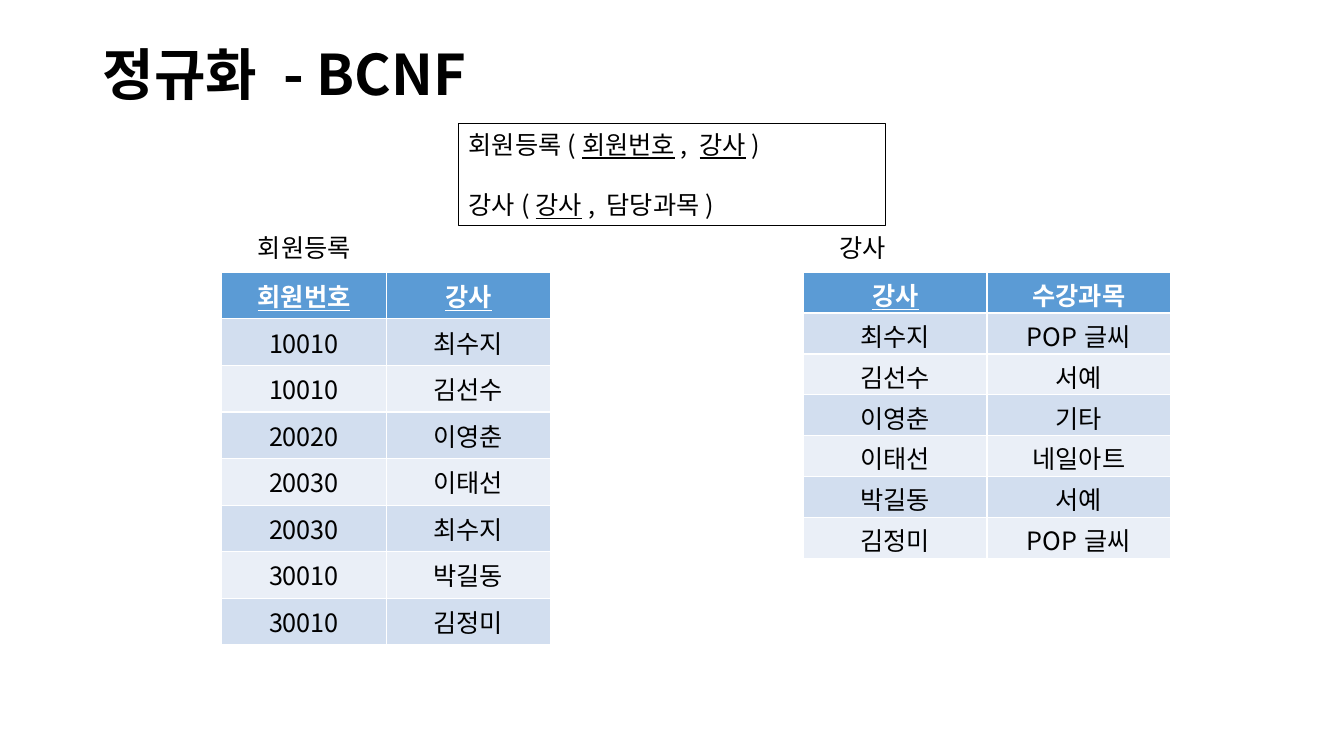
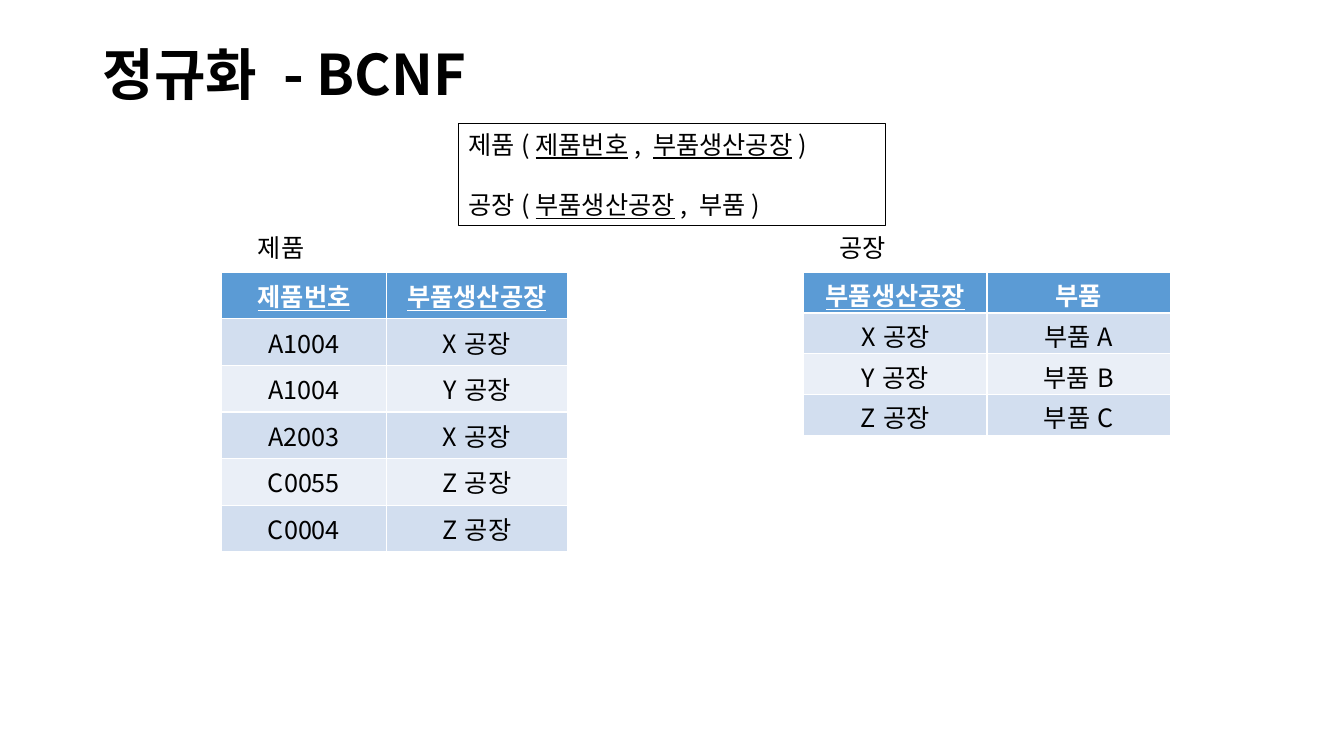
import pptx
import pptx.util
import pptx.dml.color
import pptx.enum.shapes
import pptx.enum.text
import pptx.oxml.ns
import lxml.etree

Inches = pptx.util.Inches
Pt = pptx.util.Pt
ALIGN = pptx.enum.text.PP_ALIGN
ANCHOR = pptx.enum.text.MSO_ANCHOR
AUTO_SIZE = pptx.enum.text.MSO_AUTO_SIZE

FONT = "Noto Sans CJK KR"
COLORS = {
    "text": "000000",
    "paper": "FFFFFF",
    "header": "5B9BD5",
    "odd_row": "D2DEEF",
    "even_row": "EAEFF7",
}
TITLE = "정규화 - BCNF"
KEY_MARK = "_"
LABEL_TOP = 2.26
TABLE_TOP = 2.7
LABEL_INDENT = 0.26

SLIDES = [
    {
        "schema": ["회원등록(_회원번호_, _강사_)", "강사(_강사_, 담당과목)"],
        "relations": [
            {
                "label": "회원등록", "label_width": 1.52,
                "left": 2.2, "columns": [1.63, 1.63], "height": 3.24,
                "margins": (0.05, 0.05),
                "rows": [
                    ("_회원번호_", "_강사_"),
                    ("10010", "최수지"),
                    ("10010", "김선수"),
                    ("20020", "이영춘"),
                    ("20030", "이태선"),
                    ("20030", "최수지"),
                    ("30010", "박길동"),
                    ("30010", "김정미"),
                ],
            },
            {
                "label": "강사", "label_width": 1.06,
                "left": 7.97, "columns": [1.82, 1.82], "height": 2.84,
                "margins": (0.04, 0),
                "rows": [
                    ("_강사_", "수강과목"),
                    ("최수지", "POP글씨"),
                    ("김선수", "서예"),
                    ("이영춘", "기타"),
                    ("이태선", "네일아트"),
                    ("박길동", "서예"),
                    ("김정미", "POP글씨"),
                ],
            },
        ],
    },
    {
        "schema": ["제품(_제품번호_, _부품생산공장_)", "공장(_부품생산공장_, 부품)"],
        "relations": [
            {
                "label": "제품", "label_width": 1.52,
                "left": 2.2, "columns": [1.63, 1.8], "height": 2.43,
                "margins": (0.05, 0.05),
                "rows": [
                    ("_제품번호_", "_부품생산공장_"),
                    ("A1004", "X공장"),
                    ("A1004", "Y공장"),
                    ("A2003", "X공장"),
                    ("C0055", "Z공장"),
                    ("C0004", "Z공장"),
                ],
            },
            {
                "label": "공장", "label_width": 1.06,
                "left": 7.97, "columns": [1.82, 1.82], "height": 1.62,
                "margins": (0.04, 0),
                "rows": [
                    ("_부품생산공장_", "부품"),
                    ("X공장", "부품A"),
                    ("Y공장", "부품B"),
                    ("Z공장", "부품C"),
                ],
            },
        ],
    },
]


def rgb(name):
    return pptx.dml.color.RGBColor.from_string(COLORS[name])


def write(paragraph, marked_text, size=18, color="text", bold=False):
    for index, part in enumerate(marked_text.split(KEY_MARK)):
        if not part:
            continue
        run = paragraph.add_run()
        run.text = part
        run.font.name = FONT
        run.font.size = Pt(size)
        run.font.bold = bold
        run.font.underline = index % 2 == 1
        run.font.color.rgb = rgb(color)
        east_asian = lxml.etree.SubElement(
            run.font._element, pptx.oxml.ns.qn("a:ea"))
        east_asian.set("typeface", FONT)


def add_title(slide):
    title = slide.shapes.title
    title.left, title.top = Inches(0.92), Inches(0.4)
    title.width, title.height = Inches(11.5), Inches(0.73)
    frame = title.text_frame
    frame.auto_size = AUTO_SIZE.NONE
    frame.vertical_anchor = ANCHOR.MIDDLE
    paragraph = frame.paragraphs[0]
    paragraph.alignment = ALIGN.LEFT
    paragraph.line_spacing = 0.9
    write(paragraph, TITLE, size=40, bold=True)


def add_relation(slide, relation):
    rows, columns = relation["rows"], relation["columns"]
    table = slide.shapes.add_table(
        len(rows), len(columns), Inches(relation["left"]), Inches(TABLE_TOP),
        Inches(sum(columns)), Inches(relation["height"])).table
    for column, width in zip(table.columns, columns):
        column.width = Inches(width)
    for row_index, row in enumerate(rows):
        is_header = row_index == 0
        stripe = "odd_row" if row_index % 2 else "even_row"
        for column_index, value in enumerate(row):
            cell = table.cell(row_index, column_index)
            cell.margin_top, cell.margin_bottom = map(Inches, relation["margins"])
            cell.fill.solid()
            cell.fill.fore_color.rgb = rgb("header" if is_header else stripe)
            paragraph = cell.text_frame.paragraphs[0]
            paragraph.alignment = ALIGN.CENTER
            write(paragraph, value, color="paper" if is_header else "text",
                  bold=is_header)

    label = slide.shapes.add_textbox(
        Inches(relation["left"] + LABEL_INDENT), Inches(LABEL_TOP),
        Inches(relation["label_width"]), Inches(0.4))
    label.text_frame.word_wrap = True
    label.text_frame.auto_size = AUTO_SIZE.SHAPE_TO_FIT_TEXT
    write(label.text_frame.paragraphs[0], relation["label"])


def add_schema(slide, lines):
    schema = slide.shapes.add_shape(
        pptx.enum.shapes.MSO_SHAPE.RECTANGLE,
        Inches(4.55), Inches(1.23), Inches(4.23), Inches(1.01))
    schema.shadow.inherit = False
    schema.fill.background()
    schema.line.color.rgb = rgb("text")
    schema.line.width = Pt(0.75)
    frame = schema.text_frame
    frame.word_wrap = True
    frame.auto_size = AUTO_SIZE.SHAPE_TO_FIT_TEXT
    frame.vertical_anchor = ANCHOR.TOP
    for index, line in enumerate(lines):
        paragraph = frame.add_paragraph() if index else frame.paragraphs[0]
        paragraph.alignment = ALIGN.LEFT
        if index:
            paragraph.line_spacing = 2.0
        write(paragraph, line)


def main():
    deck = pptx.Presentation()
    deck.slide_width, deck.slide_height = Inches(13.33), Inches(7.5)
    for content in SLIDES:
        slide = deck.slides.add_slide(deck.slide_layouts[5])
        add_title(slide)
        for relation in content["relations"]:
            add_relation(slide, relation)
        add_schema(slide, content["schema"])
    deck.save("out.pptx")


if __name__ == "__main__":
    main()
